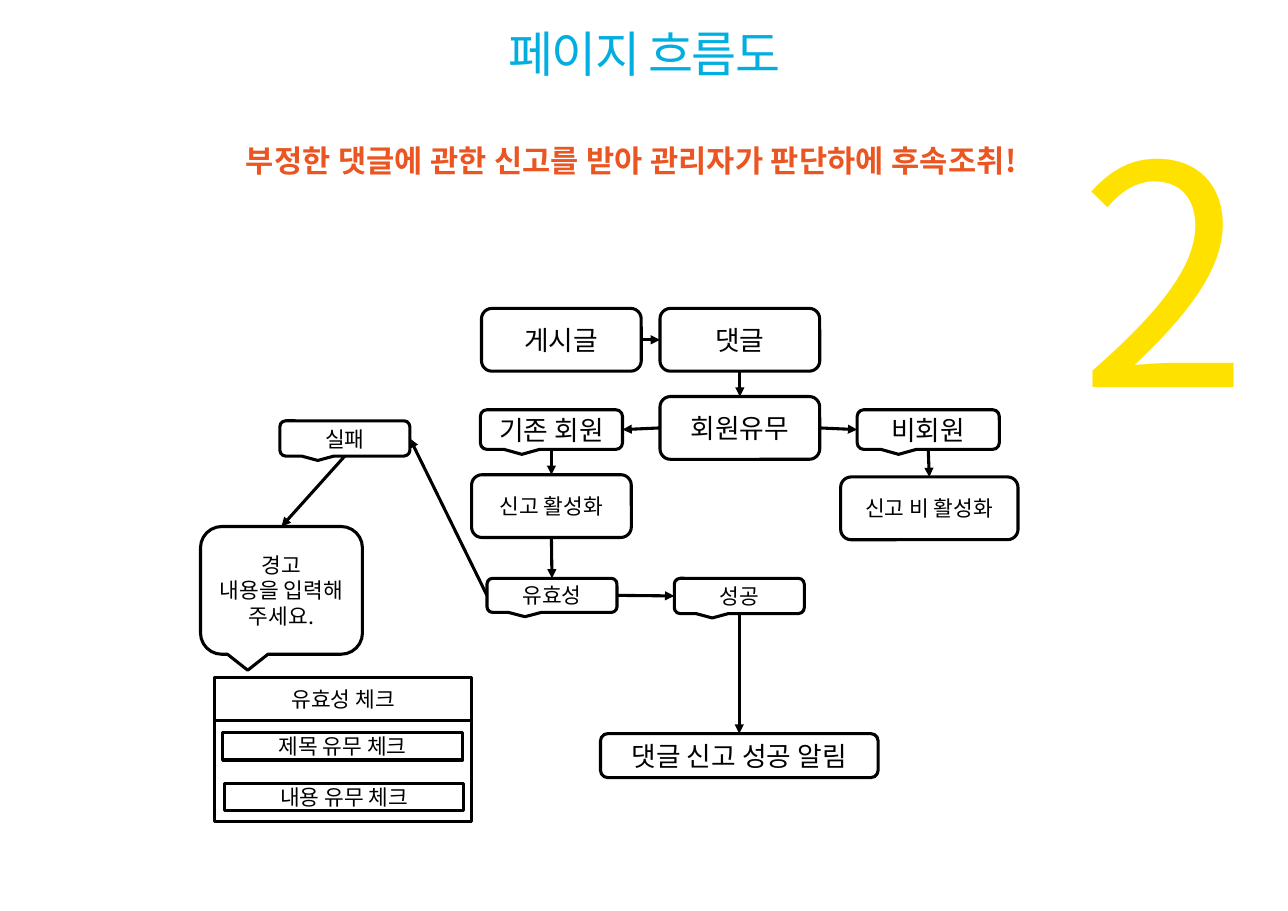
from lxml.etree import SubElement
from pptx import Presentation
from pptx.dml.color import RGBColor
from pptx.enum.shapes import MSO_CONNECTOR, MSO_SHAPE
from pptx.enum.text import MSO_ANCHOR, MSO_AUTO_SIZE, PP_ALIGN
from pptx.oxml.ns import qn
from pptx.util import Inches, Pt

FONT = "Noto Sans CJK KR"
COLORS = {"title": "00AEE0", "summary": "EA5521", "number": "FFE100",
          "ink": "000000", "paper": "FFFFFF"}

TITLE = ("페이지 흐름도", (2.21, 0.33, 7.28, 0.82), 32, 30, -100, "title", False, PP_ALIGN.CENTER)
SUMMARY = ("부정한 댓글에 관한 신고를 받아 관리자가 판단하에 후속조취!",
           (2.09, 1.43, 7.28, 0.79), 20, 14, 10, "summary", True, PP_ALIGN.CENTER)
NUMBER = ("2", (9.8, 1.3, 1.46, 2.76), 200, 200, -100, "number", False, PP_ALIGN.LEFT)

ROUND = MSO_SHAPE.ROUNDED_RECTANGLE
CALLOUT = MSO_SHAPE.ROUNDED_RECTANGULAR_CALLOUT
RECT = MSO_SHAPE.RECTANGLE
LARGE, SMALL = 17.5, 14

STEPS = [
    ("경고\n내용을 입력해 주세요.", CALLOUT, (1.82, 4.78, 1.47, 1.16), SMALL),
    ("게시글", ROUND, (4.37, 2.8, 1.45, 0.57), LARGE),
    ("댓글", ROUND, (5.99, 2.8, 1.45, 0.57), LARGE),
    ("회원유무", ROUND, (5.99, 3.6, 1.45, 0.57), LARGE),
    ("기존 회원", CALLOUT, (4.36, 3.72, 1.29, 0.36), LARGE),
    ("비회원", CALLOUT, (7.78, 3.72, 1.29, 0.36), LARGE),
    ("신고 활성화", ROUND, (4.28, 4.31, 1.45, 0.57), SMALL),
    ("신고 비 활성화", ROUND, (7.63, 4.33, 1.61, 0.57), SMALL),
    ("유효성", CALLOUT, (4.42, 5.25, 1.18, 0.31), SMALL),
    ("실패", CALLOUT, (2.54, 3.82, 1.18, 0.32), SMALL),
    ("성공", CALLOUT, (6.12, 5.25, 1.18, 0.32), SMALL),
    ("댓글 신고 성공 알림", ROUND, (5.45, 6.66, 2.52, 0.4), LARGE),
    ("", RECT, (1.95, 6.15, 2.33, 1.31), SMALL),
    ("유효성 체크", RECT, (1.95, 6.15, 2.33, 0.39), SMALL),
    ("제목 유무 체크", RECT, (2.02, 6.65, 2.18, 0.25), SMALL),
    ("내용 유무 체크", RECT, (2.04, 7.11, 2.17, 0.25), SMALL),
]

TOP, LEFT, BOTTOM, RIGHT = range(4)
FLOWS = [
    ("게시글", RIGHT, "댓글", LEFT),
    ("댓글", BOTTOM, "회원유무", TOP),
    ("회원유무", LEFT, "기존 회원", RIGHT),
    ("회원유무", RIGHT, "비회원", LEFT),
    ("기존 회원", BOTTOM, "신고 활성화", TOP),
    ("비회원", BOTTOM, "신고 비 활성화", TOP),
    ("신고 활성화", BOTTOM, "유효성", TOP),
    ("유효성", LEFT, "실패", RIGHT),
    ("유효성", RIGHT, "성공", LEFT),
    ("실패", BOTTOM, "경고\n내용을 입력해 주세요.", TOP),
    ("성공", BOTTOM, "댓글 신고 성공 알림", TOP),
]


def color(name):
    return RGBColor.from_string(COLORS[name])


def style_runs(paragraph, size, color_name, bold=False):
    for run in paragraph.runs:
        run.font.size = Pt(size)
        run.font.name = FONT
        run.font.bold = bold
        run.font.color.rgb = color(color_name)
        SubElement(run.font._element, qn("a:ea"), typeface=FONT)


def write_heading(holder, heading):
    text, box, size, line_height, tracking, color_name, bold, align = heading
    holder.left, holder.top, holder.width, holder.height = map(Inches, box)
    frame = holder.text_frame
    frame.text = text
    frame.word_wrap = True
    frame.auto_size = MSO_AUTO_SIZE.NONE
    frame.vertical_anchor = MSO_ANCHOR.TOP
    frame.margin_left = frame.margin_right = frame.margin_top = frame.margin_bottom = 0
    paragraph = frame.paragraphs[0]
    paragraph.alignment = align
    paragraph.line_spacing = Pt(line_height)
    paragraph.space_before = Pt(0)
    before = paragraph._p.pPr.find(qn("a:spcBef"))
    before.remove(before[0])
    SubElement(before, qn("a:spcPct"), val="20000")
    style_runs(paragraph, size, color_name, bold)
    paragraph.runs[0].font._element.set("spc", str(tracking))


def add_step(slide, text, preset, box, size):
    step = slide.shapes.add_shape(preset, *map(Inches, box))
    step.shadow.inherit = False
    step.fill.solid()
    step.fill.fore_color.rgb = color("paper")
    step.line.color.rgb = color("ink")
    step.line.width = Pt(2)
    frame = step.text_frame
    frame.text = text
    frame.word_wrap = True
    frame.vertical_anchor = MSO_ANCHOR.MIDDLE
    for paragraph in frame.paragraphs:
        paragraph.alignment = PP_ALIGN.CENTER
        style_runs(paragraph, size, "ink")
    return step


def add_flow(slide, source, source_side, target, target_side):
    flow = slide.shapes.add_connector(MSO_CONNECTOR.STRAIGHT, 0, 0, 0, 0)
    flow.begin_connect(source, source_side)
    flow.end_connect(target, target_side)
    flow.line.color.rgb = color("ink")
    flow.line.width = Pt(2)
    SubElement(flow.line._get_or_add_ln(), qn("a:tailEnd"), type="triangle")
    SubElement(flow._element.spPr, qn("a:effectLst"))


def main():
    deck = Presentation()
    deck.slide_width, deck.slide_height = Inches(11.69), Inches(8.27)
    slide = deck.slides.add_slide(deck.slide_layouts[5])
    write_heading(slide.shapes.title, TITLE)
    for heading in (SUMMARY, NUMBER):
        write_heading(slide.shapes.add_textbox(0, 0, 0, 0), heading)
    steps = {step[0]: add_step(slide, *step) for step in STEPS}
    for source, source_side, target, target_side in FLOWS:
        add_flow(slide, steps[source], source_side, steps[target], target_side)
    deck.save("out.pptx")


if __name__ == "__main__":
    main()
